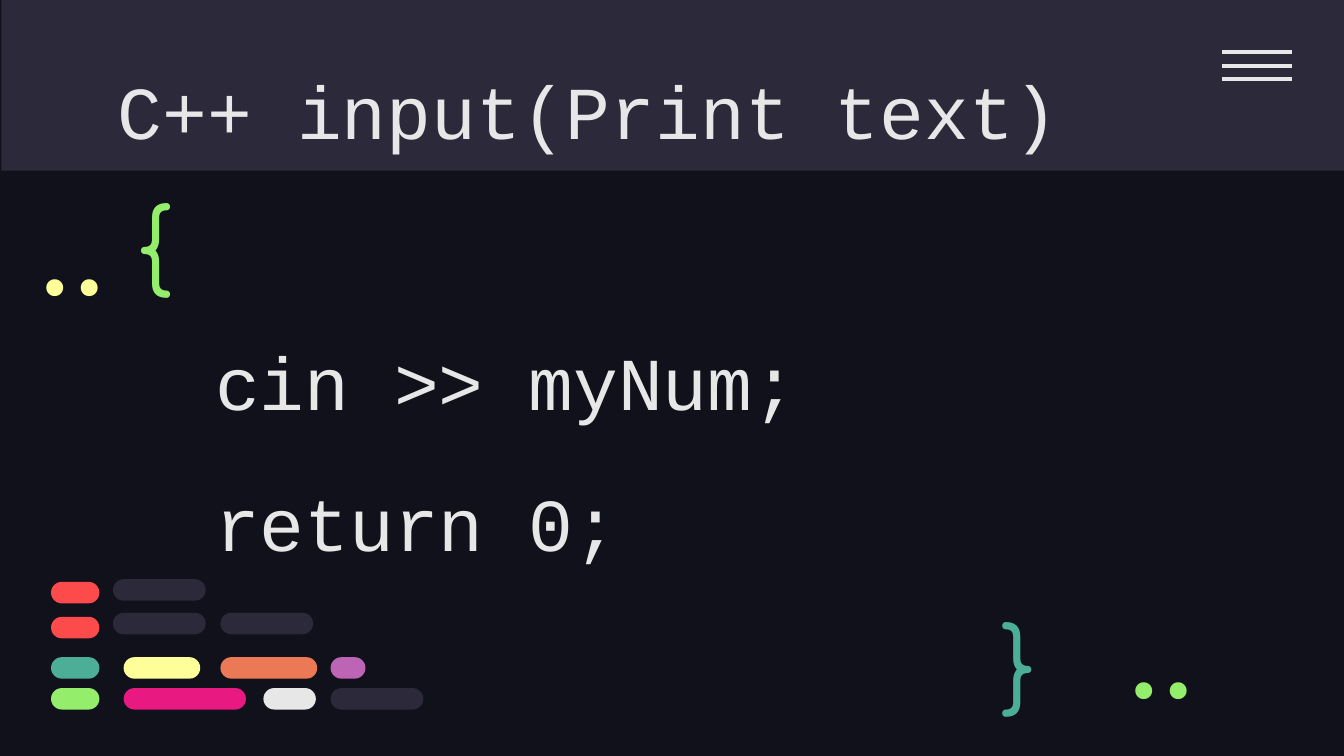
from lxml import etree
from pptx import Presentation
from pptx.dml.color import RGBColor
from pptx.enum import shapes, text
from pptx.oxml import ns
from pptx.util import Inches, Pt

COLORS = {
    "night": "10111A", "slate": "2C293A", "white": "E7E7E7", "red": "FD4A4A",
    "teal": "4CAE97", "yellow": "FFFF99", "orange": "EC7955",
    "purple": "BD64B5", "green": "94EE6B", "pink": "E81A81",
}


def rgb(name):
    return RGBColor.from_string(COLORS[name])


def write(box, area, words, font, size, color, anchor="TOP", align="LEFT", spacing=1.0):
    box.left, box.top, box.width, box.height = map(Inches, area)
    frame = box.text_frame
    frame.text = words
    frame_format = {
        "word_wrap": True, "auto_size": text.MSO_AUTO_SIZE.NONE,
        "vertical_anchor": text.MSO_ANCHOR[anchor],
        "margin_left": Inches(0.1), "margin_right": Inches(0.1),
        "margin_top": Inches(0.1), "margin_bottom": Inches(0.1),
    }
    for key, value in frame_format.items():
        setattr(frame, key, value)
    line = frame.paragraphs[0]
    line_format = {"alignment": text.PP_ALIGN[align], "line_spacing": spacing,
                   "space_before": Pt(0)}
    for key, value in line_format.items():
        setattr(line, key, value)
    run_font = line.runs[0].font
    run_font.name, run_font.size = font, Pt(size)
    run_font.color.rgb = rgb(color)


# Widescreen slide, 16:9
deck = Presentation()
deck.slide_width = Inches(10)
deck.slide_height = Inches(10) * 9 // 16
slide = deck.slides.add_slide(deck.slide_layouts[0])
slide.background.fill.solid()
slide.background.fill.fore_color.rgb = rgb("night")

# Header band and code pills: left, top, width, height, colour
PILL_HEIGHT = 0.16
pill_rows = [
    (4.33, [(0.38, 0.36, "red")]),
    (4.59, [(0.38, 0.36, "red")]),
    (4.31, [(0.84, 0.69, "slate")]),
    (4.56, [(0.84, 0.69, "slate"), (1.64, 0.69, "slate")]),
    (4.89, [(0.38, 0.36, "teal"), (0.92, 0.57, "yellow"),
            (1.64, 0.72, "orange"), (2.46, 0.26, "purple")]),
    (5.12, [(0.38, 0.36, "green"), (0.92, 0.91, "pink"),
            (1.96, 0.39, "white"), (2.46, 0.69, "slate")]),
]
blocks = [(0.01, 0, 10, 1.27, "slate")]
for top, pills in pill_rows:
    blocks += [(left, top, width, PILL_HEIGHT, color) for left, width, color in pills]
for left, top, width, height, color in blocks:
    is_pill = height == PILL_HEIGHT
    kind = shapes.MSO_SHAPE.ROUNDED_RECTANGLE if is_pill else shapes.MSO_SHAPE.RECTANGLE
    block = slide.shapes.add_shape(kind, *map(Inches, (left, top, width, height)))
    if is_pill:
        block.adjustments[0] = 0.5
    block.shadow.inherit = False
    block.fill.solid()
    block.fill.fore_color.rgb = rgb(color)
    block.line.fill.background()

# Menu icon
for row in range(3):
    y = Inches(0.39 + 0.1 * row)
    menu_bar = slide.shapes.add_connector(
        shapes.MSO_CONNECTOR.STRAIGHT, Inches(9.09), y, Inches(9.61), y)
    menu_bar.line.color.rgb = rgb("white")
    menu_bar.line.width = Pt(2.25)
    etree.SubElement(menu_bar.element.spPr, ns.qn("a:effectLst"))

# Code statements
statement, ending = slide.placeholders
write(statement, (1.5, 2.3, 7.67, 1.06), "cin >> myNum;", "Courier New", 40, "white",
      anchor="MIDDLE")
write(ending, (1.5, 3.35, 3.45, 0.93), "return 0;", "Courier New", 40, "white",
      spacing=1.15)

# Heading, braces and dots
labels = [
    ((0.78, 0.38, 8.43, 0.63), "C++ input(Print text)", "Courier New", 40, "white"),
    ((0.92, 1.26, 0.77, 0.95), "{", "Comfortaa", 50, "green"),
    ((7.35, 4.38, 0.57, 0.83), "}", "Comfortaa", 50, "teal"),
    ((8.1, 4.62, 1.07, 0.6), "..", "Fira Code", 50, "green", "MIDDLE", "RIGHT"),
    ((0, 1.62, 1.07, 0.6), "..", "Fira Code", 50, "yellow", "MIDDLE", "RIGHT"),
]
for area, *style in labels:
    write(slide.shapes.add_textbox(*map(Inches, area)), area, *style)

deck.save("out.pptx")
